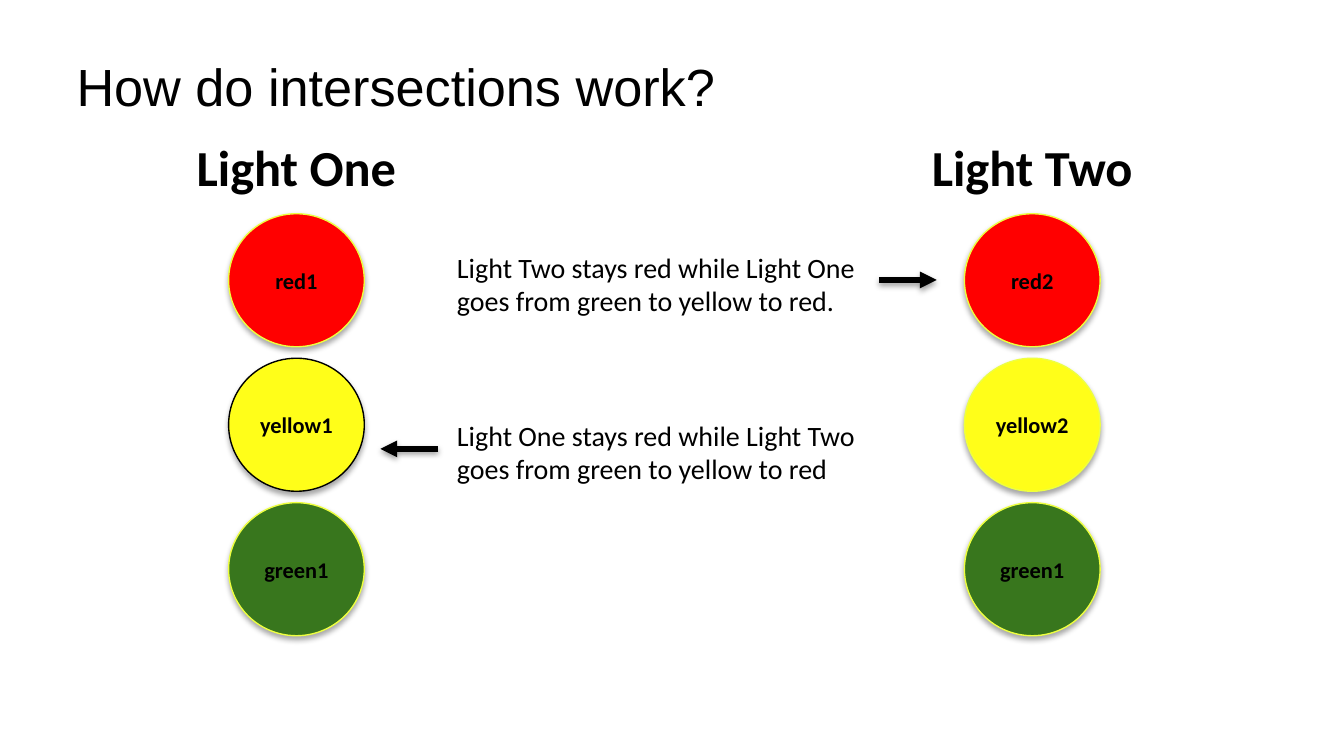
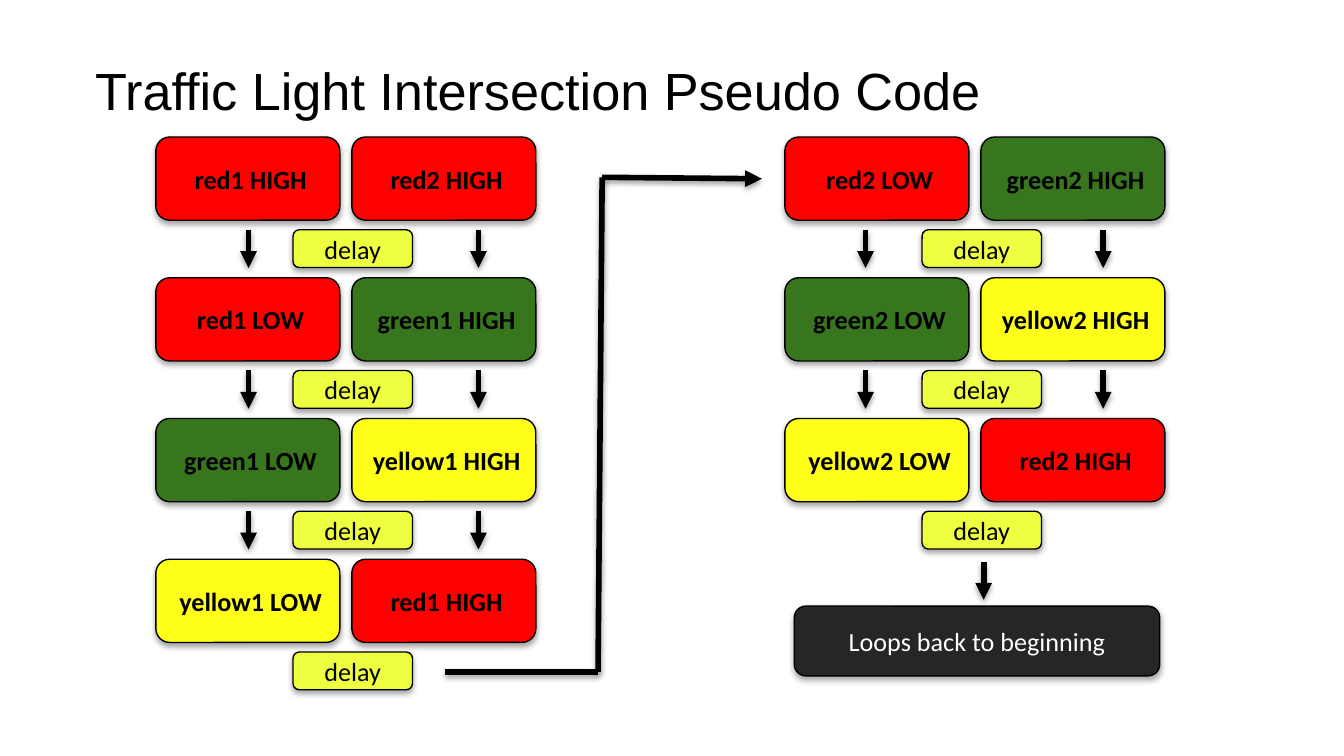
from itertools import pairwise

from lxml import etree
from pptx import Presentation
from pptx.dml.color import RGBColor
from pptx.enum import shapes, text
from pptx.oxml import ns
from pptx.util import Pt

COLORS = {
    "black": "000000",
    "white": "FFFFFF",
    "red": "FF0000",
    "yellow": "FFFE19",
    "green": "38761D",
    "lime": "EEFF41",
    "charcoal": "262626",
}
BODY_FONT, TITLE_FONT = "Calibri", "Arial"
TITLE_ONLY = 5
INSET_X, INSET_Y = 5, 3

# Intersection slide
LAMP_W, LAMP_H = 72.7, 71.3
LAMP_TOP, LAMP_PITCH = 114.5, 77.4

# Pseudo code slide
STEP_W, STEP_H = 98.6, 44.6
STEP_TOP, ROW_PITCH, COLUMN_PITCH = 73.4, 75.4, 105
DELAY_X, DELAY_Y, DELAY_W, DELAY_H = 73.5, 49.7, 64, 20.2


def rgb(name):
    return RGBColor.from_string(COLORS[name])


def signal_color(label):
    """Colour name that starts a label, such as red for 'red1 HIGH'."""
    return label.split()[0].rstrip("12")


def add_shadow(item, blur, distance, opacity):
    """Add a soft black shadow below a shape or connector."""
    effects = etree.SubElement(item._element.spPr, ns.qn("a:effectLst"))
    shadow = etree.SubElement(
        effects, ns.qn("a:outerShdw"), blurRad=str(Pt(blur)),
        dist=str(Pt(distance)), dir="5400000", algn="bl", rotWithShape="0")
    black = etree.SubElement(shadow, ns.qn("a:srgbClr"), val=COLORS["black"])
    etree.SubElement(black, ns.qn("a:alpha"), val=str(opacity * 1000))


def format_frame(frame, anchor=text.MSO_ANCHOR.TOP):
    frame.word_wrap = True
    frame.auto_size = text.MSO_AUTO_SIZE.NONE
    frame.vertical_anchor = anchor
    frame.margin_left = frame.margin_right = Pt(INSET_X)
    frame.margin_top = frame.margin_bottom = Pt(INSET_Y)


def add_span(para, words, size, bold=False, color="black", font=BODY_FONT,
             align=text.PP_ALIGN.CENTER):
    para.alignment = align
    span = para.add_run()
    span.text = words
    span.font.name = font
    span.font.size = Pt(size)
    span.font.bold = bold
    span.font.color.rgb = rgb(color)


def add_titled_page(deck, title, left, top):
    page = deck.slides.add_slide(deck.slide_layouts[TITLE_ONLY])
    box = page.shapes.title
    box.left, box.top, box.width, box.height = map(Pt, (left, top, 577.5, 60.5))
    format_frame(box.text_frame)
    add_span(box.text_frame.paragraphs[0], title, 28, font=TITLE_FONT,
             align=text.PP_ALIGN.LEFT)
    return page


def add_text_box(page, left, top, width, height):
    box = page.shapes.add_textbox(*map(Pt, (left, top, width, height)))
    format_frame(box.text_frame)
    return box.text_frame


def add_block(page, kind, frame, label, fill, line="black", size=14,
              bold=False, color="black", indent=0):
    """Add a filled, shadowed shape with a centred label."""
    block = page.shapes.add_shape(kind, *map(Pt, frame))
    block.fill.solid()
    block.fill.fore_color.rgb = rgb(fill)
    block.line.color.rgb = rgb(line)
    block.line.width = Pt(0.75)
    add_shadow(block, 3.1, 1.8, 35)
    format_frame(block.text_frame, text.MSO_ANCHOR.MIDDLE)
    block.text_frame.margin_left = Pt(INSET_X + indent)
    add_span(block.text_frame.paragraphs[0], label, size, bold, color)


def add_line(page, start, end, arrow=True):
    line = page.shapes.add_connector(
        shapes.MSO_CONNECTOR.STRAIGHT, *map(Pt, (*start, *end)))
    line.line.color.rgb = rgb("black")
    line.line.width = Pt(3)
    if arrow:
        etree.SubElement(line.line._get_or_add_ln(), ns.qn("a:tailEnd"),
                         type="triangle")
    add_shadow(line, 3.1, 1.6, 38)


def add_traffic_light(page, heading, center, heading_width, lamps):
    """Add a heading above lamps given as (label, outline colour)."""
    frame = add_text_box(page, center - heading_width / 2, 69.8,
                         heading_width, 38)
    add_span(frame.paragraphs[0], heading, 27, bold=True)
    for row, (label, outline) in enumerate(lamps):
        place = (center - LAMP_W / 2, LAMP_TOP + row * LAMP_PITCH,
                 LAMP_W, LAMP_H)
        add_block(page, shapes.MSO_SHAPE.OVAL, place, label,
                  signal_color(label), outline, size=12, bold=True)


def add_sequence(page, left, arrow_columns, steps):
    """Add rows of paired steps, each followed by a delay."""
    rounded = shapes.MSO_SHAPE.ROUNDED_RECTANGLE
    for row, pair in enumerate(steps):
        top = STEP_TOP + row * ROW_PITCH
        for column, label in enumerate(pair):
            place = (left + column * COLUMN_PITCH, top, STEP_W, STEP_H)
            add_block(page, rounded, place, label, signal_color(label),
                      bold=True, indent=3)
        delay_top = top + DELAY_Y
        add_block(page, rounded,
                  (left + DELAY_X, delay_top, DELAY_W, DELAY_H),
                  "delay", "lime")
        if row < len(steps) - 1:
            for x in arrow_columns:
                add_line(page, (x, delay_top), (x, delay_top + 20.5))


def build_intersection(deck):
    page = add_titled_page(deck, "How do intersections work?", 36, 26)
    add_traffic_light(page, "Light One", 158.8, 260, (
        ("red1", "lime"), ("yellow1", "black"), ("green1", "lime")))
    add_traffic_light(page, "Light Two", 553, 237.6, (
        ("red2", "lime"), ("yellow2", "lime"), ("green1", "lime")))

    frame = add_text_box(page, 239.8, 131, 231.1, 132.5)
    rule_one = frame.paragraphs[0]
    rule_two = frame.add_paragraph()
    rule_two.space_before = Pt(54)
    for para, words in (
        (rule_one, "Light Two stays red while Light One goes from green "
                   "to yellow to red."),
        (rule_two, "Light One stays red while Light Two goes from green "
                   "to yellow to red"),
    ):
        add_span(para, words, 15, align=text.PP_ALIGN.LEFT)

    add_line(page, (470.9, 150), (501.8, 150))
    add_line(page, (234.7, 240.5), (203.8, 240.5))


def build_pseudo_code(deck):
    page = add_titled_page(
        deck, "Traffic Light Intersection Pseudo Code", 46, 28)
    add_sequence(page, 83.5, (133.2, 256.3), (
        ("red1 HIGH", "red2 HIGH"),
        ("red1 LOW", "green1 HIGH"),
        ("green1 LOW", "yellow1 HIGH"),
        ("yellow1 LOW", "red1 HIGH")))
    add_sequence(page, 420.5, (463.7, 591), (
        ("red2 LOW", "green2 HIGH"),
        ("green2 LOW", "yellow2 HIGH"),
        ("yellow2 LOW", "red2 HIGH")))

    route = ((238.3, 360), (320.4, 360), (322.6, 95), (408.2, 95.8))
    for start, end in pairwise(route):
        add_line(page, start, end, arrow=end == route[-1])

    add_block(page, shapes.MSO_SHAPE.ROUNDED_RECTANGLE,
              (425.5, 324.7, 195.8, 37.4), "Loops back to beginning",
              "charcoal", color="white")
    add_line(page, (527, 301), (527, 321.3))


def main():
    deck = Presentation()
    deck.slide_width, deck.slide_height = Pt(720), Pt(405)
    build_intersection(deck)
    build_pseudo_code(deck)
    deck.save("out.pptx")


if __name__ == "__main__":
    main()
